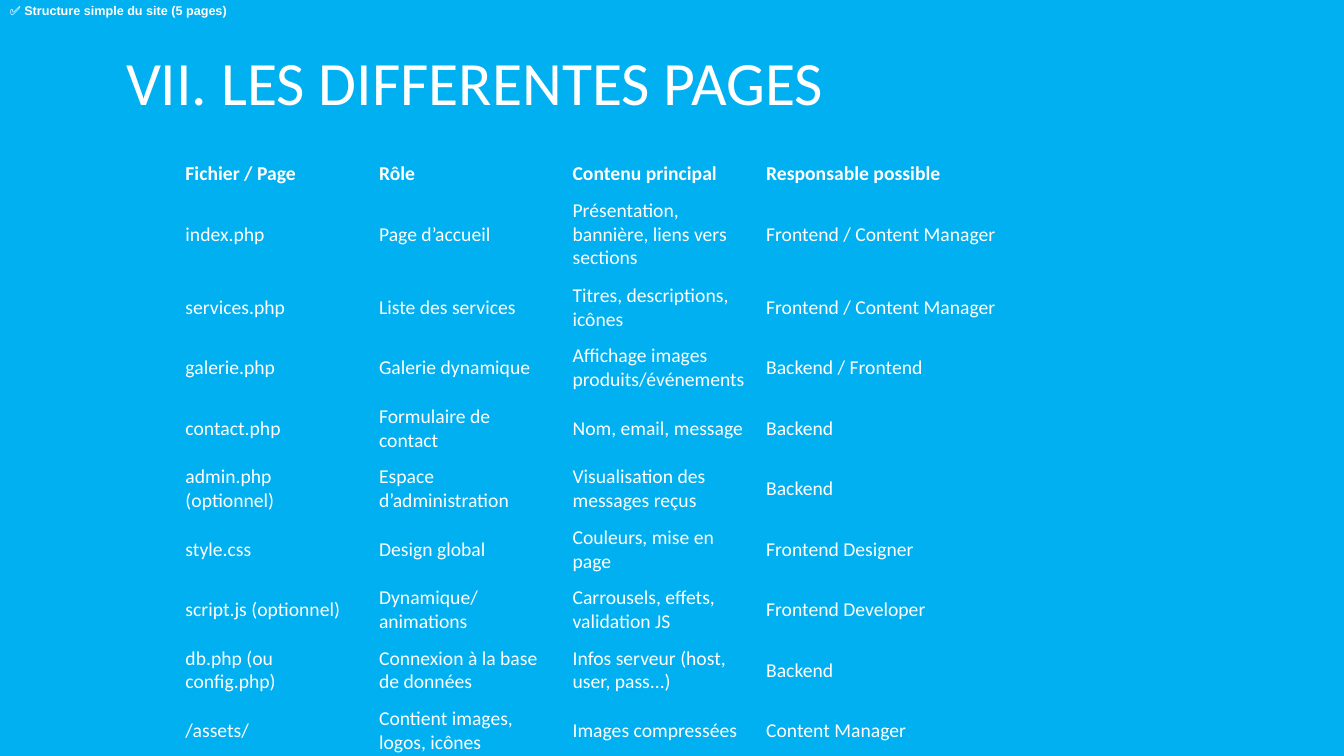
from dataclasses import dataclass
from pptx import Presentation
from pptx.dml.color import RGBColor
from pptx.enum.text import MSO_ANCHOR, MSO_AUTO_SIZE, PP_ALIGN
from pptx.oxml.ns import qn
from pptx.util import Inches, Pt


@dataclass(frozen=True)
class Theme:
    background: RGBColor = RGBColor(0x00, 0xB0, 0xF0)
    text: RGBColor = RGBColor(0xFF, 0xFF, 0xFF)
    main_font: str = "Calibri"
    caption_font: str = "Arial"
    title_size: Pt = Pt(44)
    table_size: Pt = Pt(14)
    caption_size: Pt = Pt(9)


theme = Theme()
NO_STYLE_NO_GRID = "{2D5ABB26-0587-4C30-8999-92F81FD0307C}"


def style_font(paragraph, name, size, bold=False):
    paragraph.font.name = name
    paragraph.font.size = size
    paragraph.font.bold = bold
    paragraph.font.color.rgb = theme.text
    paragraph.alignment = PP_ALIGN.LEFT


presentation = Presentation()
presentation.slide_width = Inches(13.33)
presentation.slide_height = Inches(7.5)
slide = presentation.slides.add_slide(presentation.slide_layouts[5])
slide.background.fill.solid()
slide.background.fill.fore_color.rgb = theme.background

title = slide.shapes.title
title.left, title.top = Inches(1.15), Inches(0.12)
title.width, title.height = Inches(11.5), Inches(1.45)
title.text_frame.text = "VII. LES DIFFERENTES PAGES"
title.text_frame.auto_size = MSO_AUTO_SIZE.NONE
title.text_frame.vertical_anchor = MSO_ANCHOR.MIDDLE
title_paragraph = title.text_frame.paragraphs[0]
title_paragraph.line_spacing = 0.9
style_font(title_paragraph, theme.main_font, theme.title_size)

pages = [
    ("", "", "", ""),
    ("Fichier / Page", "Rôle", "Contenu principal", "Responsable possible"),
    ("index.php", "Page d’accueil", "Présentation, bannière, liens vers sections",
     "Frontend / Content Manager"),
    ("services.php", "Liste des services", "Titres, descriptions, icônes",
     "Frontend / Content Manager"),
    ("galerie.php", "Galerie dynamique", "Affichage images produits/événements",
     "Backend / Frontend"),
    ("contact.php", "Formulaire de contact", "Nom, email, message", "Backend"),
    ("admin.php (optionnel)", "Espace d’administration",
     "Visualisation des messages reçus", "Backend"),
    ("style.css", "Design global", "Couleurs, mise en page", "Frontend Designer"),
    ("script.js (optionnel)", "Dynamique/animations",
     "Carrousels, effets, validation JS", "Frontend Developer"),
    ("db.php (ou config.php)", "Connexion à la base de données",
     "Infos serveur (host, user, pass...)", "Backend"),
    ("/assets/", "Contient images, logos, icônes", "Images compressées",
     "Content Manager"),
]
column_widths = [0.77] + [1.92] * 3 + [3.45]
row_heights = [0.35] * 2 + [0.85] + [0.6] * 8

table_frame = slide.shapes.add_table(
    len(row_heights), len(column_widths), Inches(0.97), Inches(1.2),
    Inches(sum(column_widths)), Inches(sum(row_heights)))
for style_id in table_frame.element.iter(qn("a:tableStyleId")):
    style_id.text = NO_STYLE_NO_GRID
table = table_frame.table
table.first_row = False
table.horz_banding = False
for column, width in zip(table.columns, column_widths):
    column.width = Inches(width)
for row_index, (row, height, page) in enumerate(zip(table.rows, row_heights, pages)):
    row.height = Inches(height)
    for cell, text in zip(row.cells, ("",) + page):
        cell.text = text
        cell.fill.background()
        cell.vertical_anchor = MSO_ANCHOR.MIDDLE
        style_font(cell.text_frame.paragraphs[0], theme.main_font,
                   theme.table_size, bold=row_index == 1)

caption = slide.shapes.add_textbox(0, 0, presentation.slide_width, Inches(0.5))
caption_frame = caption.text_frame
caption_frame.word_wrap = True
caption_frame.margin_top = Inches(0.03)
caption_frame.vertical_anchor = MSO_ANCHOR.TOP
caption_frame.text = "✅ Structure simple du site (5 pages)"
style_font(caption_frame.paragraphs[0], theme.caption_font, theme.caption_size, bold=True)

presentation.save("out.pptx")
